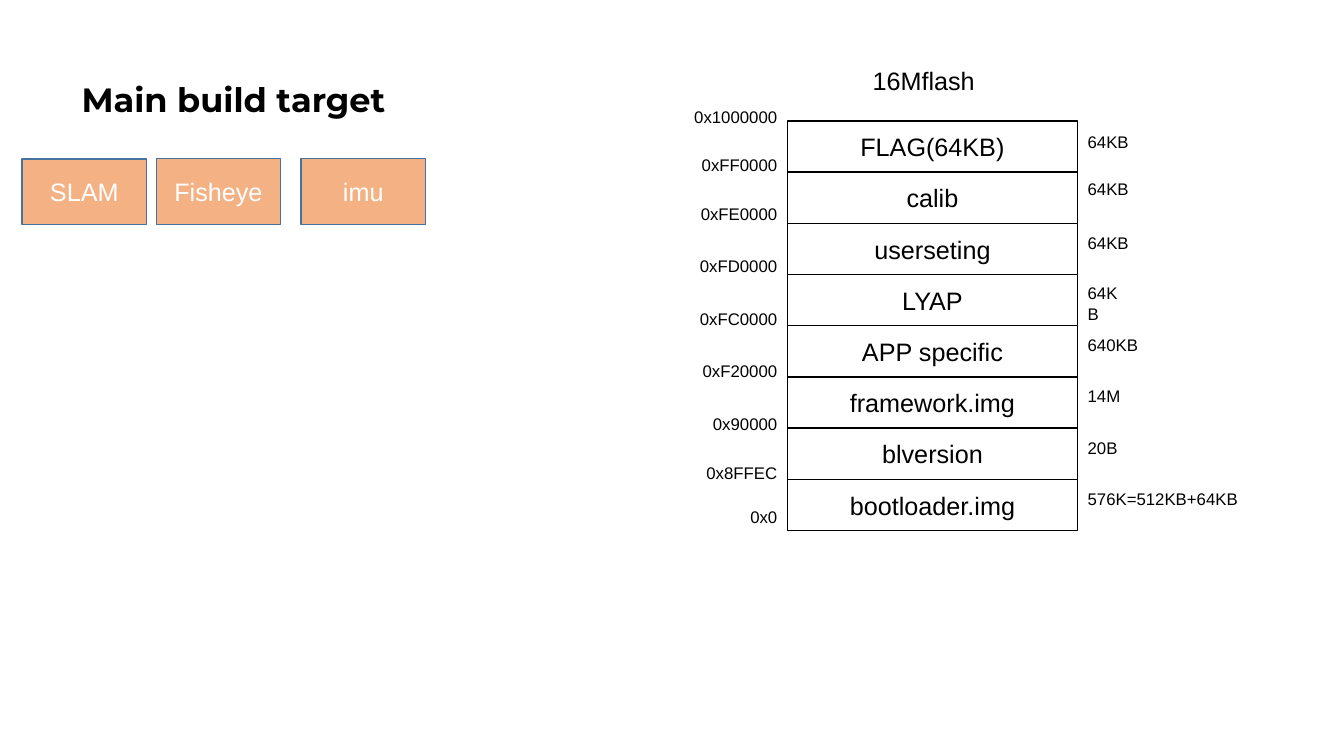
"""Build the slide with the main build targets and the 16M flash memory map."""
import pptx
import pptx.dml.color
import pptx.enum.shapes
import pptx.enum.text
import pptx.util

Cm = pptx.util.Cm
Pt = pptx.util.Pt
RGBColor = pptx.dml.color.RGBColor
Align = pptx.enum.text.PP_ALIGN
Anchor = pptx.enum.text.MSO_ANCHOR

BLACK = RGBColor(0x00, 0x00, 0x00)
WHITE = RGBColor(0xFF, 0xFF, 0xFF)
ORANGE = RGBColor(0xF4, 0xB1, 0x83)
BLUE = RGBColor(0x43, 0x73, 0x9E)

TARGETS = [("SLAM", 0.56, 4.01, 1.65), ("Fisheye", 3.94, 3.99, 1.67), ("imu", 7.59, 3.99, 1.67)]
REGIONS = [
    ("FLAG(64KB)", "64KB", 3.2, 2.41),
    ("calib", "64KB", 4.39, 2.41),
    ("userseting", "64KB", 5.74, 1.91),
    ("LYAP", "64KB", 7.01, 1.52),
    ("APP specific", "640KB", 8.31, 2.16),
    ("framework.img", "14M", 9.6, 2.16),
    ("blversion", "20B", 10.9, 2.16),
    ("bootloader.img", "576K=512KB+64KB", 12.19, 5.44),
]
ADDRESSES = [
    ("0x1000000", 2.57), ("0xFF0000", 3.78), ("0xFE0000", 5.0),
    ("0xFD0000", 6.32), ("0xFC0000", 7.65), ("0xF20000", 8.97),
    ("0x90000", 10.31), ("0x8FFEC", 11.53), ("0x0", 12.65),
]
MAP_LEFT, MAP_TOP, MAP_WIDTH, REGION_HEIGHT = 19.84, 3.05, 7.32, 1.29
ADDRESS_WIDTH, LABEL_HEIGHT = 3.58, 0.76


class SlideBuilder:
    """Hold the text style and the current slide."""

    def __init__(self, slide, font="Arial"):
        """Keep the slide and its body font."""
        self.slide = slide
        self.font = font

    def set_text(self, frame, text, size, color, align, font=None, bold=False):
        """Put one styled paragraph into a text frame."""
        frame.word_wrap = True
        frame.text = text
        paragraph = frame.paragraphs[0]
        paragraph.alignment = align
        paragraph.font.name = font or self.font
        paragraph.font.size = Pt(size)
        paragraph.font.bold = bold
        paragraph.font.color.rgb = color

    def title(self, text, left, top, width, height):
        """Place and format the title placeholder."""
        heading = self.slide.shapes.title
        heading.left, heading.top = Cm(left), Cm(top)
        heading.width, heading.height = Cm(width), Cm(height)
        self.set_text(heading.text_frame, text, 24, BLACK, Align.LEFT, "Montserrat", True)
        heading.text_frame.vertical_anchor = Anchor.MIDDLE
        heading.text_frame.paragraphs[0].line_spacing = 0.9

    def box(self, text, left, top, width, height, fill, line, color):
        """Add a bordered rectangle with centred text."""
        block = self.slide.shapes.add_shape(
            pptx.enum.shapes.MSO_SHAPE.RECTANGLE, Cm(left), Cm(top), Cm(width), Cm(height))
        block.shadow.inherit = False
        block.fill.solid()
        block.fill.fore_color.rgb = fill
        block.line.color.rgb = line
        block.line.width = Pt(1)
        self.set_text(block.text_frame, text, 18, color, Align.CENTER)
        block.text_frame.vertical_anchor = Anchor.MIDDLE

    def label(self, text, left, top, width, height=LABEL_HEIGHT, size=12, align=Align.LEFT):
        """Add a plain text label."""
        caption = self.slide.shapes.add_textbox(Cm(left), Cm(top), Cm(width), Cm(height))
        self.set_text(caption.text_frame, text, size, BLACK, align)


def main():
    """Create and save the presentation."""
    deck = pptx.Presentation()
    deck.slide_width, deck.slide_height = Cm(33.87), Cm(19.05)
    builder = SlideBuilder(deck.slides.add_slide(deck.slide_layouts[5]))

    builder.title("Main build target", 1.8, 0.71, 29.21, 3.68)
    for name, left, top, height in TARGETS:
        builder.box(name, left, top, 3.13, height, ORANGE, BLUE, WHITE)

    builder.label("16Mflash", 21.74, 1.52, 3.2, 1.02, 18)
    for row, (region, capacity, label_top, label_width) in enumerate(REGIONS):
        builder.box(region, MAP_LEFT, MAP_TOP + row * REGION_HEIGHT,
                    MAP_WIDTH, REGION_HEIGHT, WHITE, BLACK, BLACK)
        builder.label(capacity, MAP_LEFT + MAP_WIDTH, label_top, label_width)
    for address, top in ADDRESSES:
        builder.label(address, MAP_LEFT - ADDRESS_WIDTH, top, ADDRESS_WIDTH, align=Align.RIGHT)

    deck.save("out.pptx")


if __name__ == "__main__":
    main()
